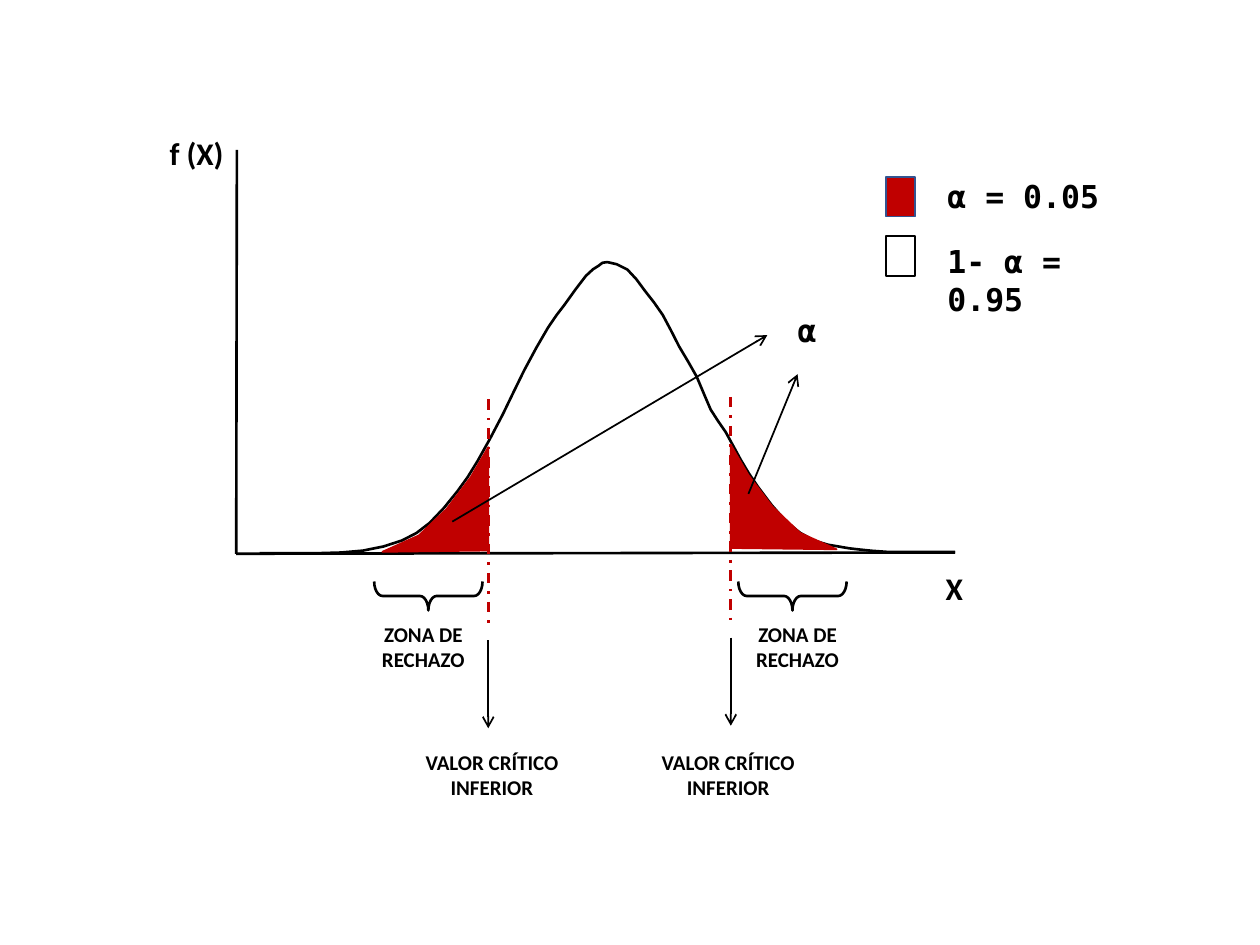
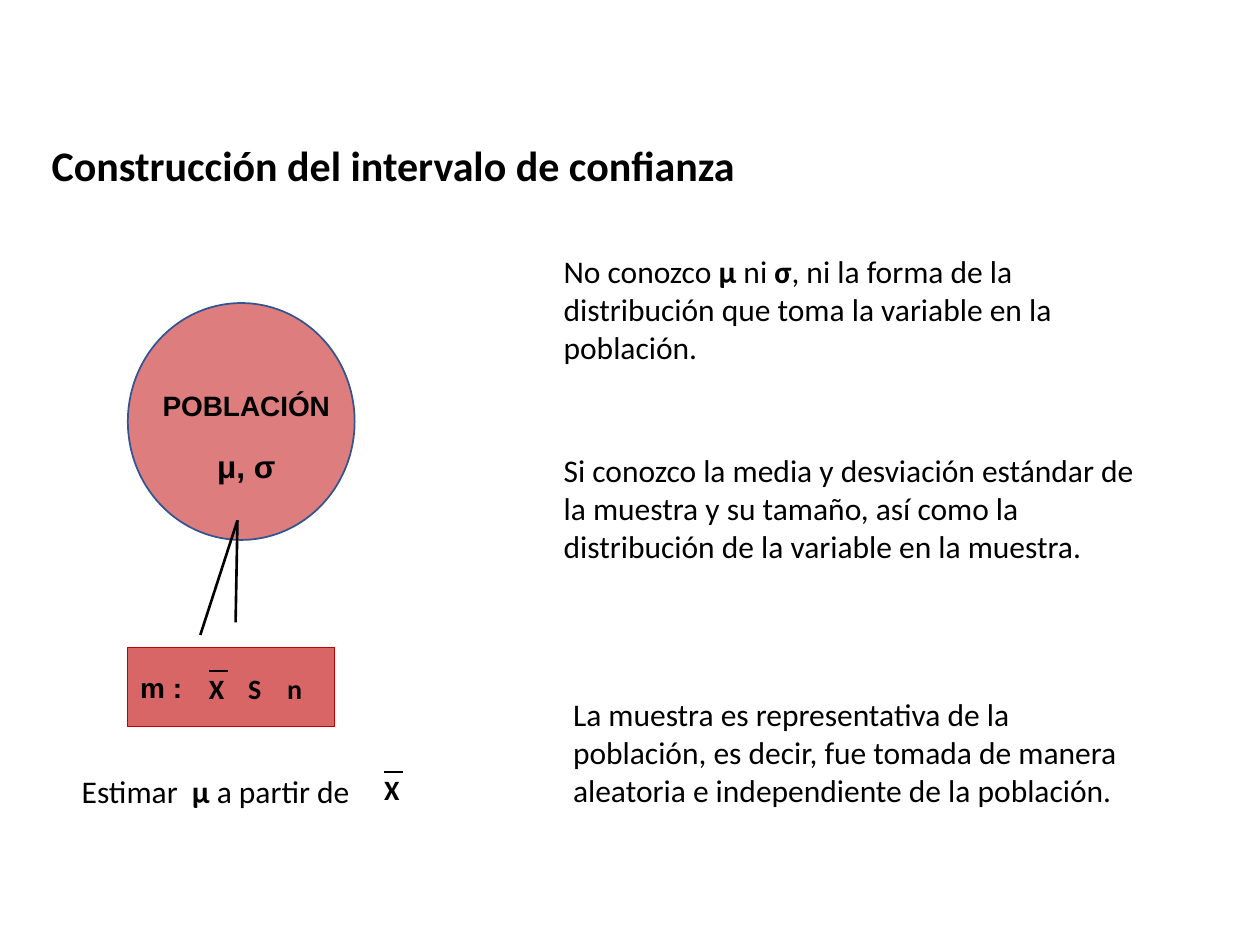
from lxml import etree
from pptx import Presentation
from pptx.dml.color import RGBColor
from pptx.enum.dml import MSO_LINE
from pptx.enum.shapes import MSO_CONNECTOR, MSO_SHAPE
from pptx.enum.text import MSO_ANCHOR, MSO_AUTO_SIZE, PP_ALIGN
from pptx.oxml.ns import qn
from pptx.util import Inches, Pt

BLACK = RGBColor(0x00, 0x00, 0x00)
RED = RGBColor(0xC0, 0x00, 0x00)
BLUE = RGBColor(0x32, 0x54, 0x91)

STRAIGHT = MSO_CONNECTOR.STRAIGHT
DASH_DOT = MSO_LINE.DASH_DOT
RECT, OVAL, BRACE = MSO_SHAPE.RECTANGLE, MSO_SHAPE.OVAL, MSO_SHAPE.LEFT_BRACE
TOP, MIDDLE = MSO_ANCHOR.TOP, MSO_ANCHOR.MIDDLE
LEFT, CENTER = PP_ALIGN.LEFT, PP_ALIGN.CENTER
GROW = MSO_AUTO_SIZE.SHAPE_TO_FIT_TEXT

# The slide is a grid of 100 columns by 75 rows.
WIDTH, HEIGHT = Inches(10), Inches(7.5)
COL, ROW = WIDTH / 100, HEIGHT / 75
TITLE_ONLY, BLANK = 5, 6

BODY = {"name": "Calibri", "size": Pt(18), "bold": False}
AXIS = {**BODY, "bold": True}
HEAD = {**AXIS, "size": Pt(24)}
NOTE = {**AXIS, "size": Pt(12)}
STAT = {**AXIS, "size": Pt(16)}
MONO = {**AXIS, "name": "DejaVu Sans Mono"}
MEAN = {**AXIS, "name": "Arial"}
NAME = {**MEAN, "size": Pt(16)}

LOW, HIGH = 38.75, 58
BELL = [
    (20.6, 43.9), (22.8, 43.9), (25.4, 43.9), (28.8, 43.7), (31.9, 42.9),
    (34.1, 41.5), (36.3, 39), (37.9, 36.6), (39.9, 32.9), (41.6, 29.4),
    (43.5, 26), (44.8, 24.2), (46.5, 21.9), (47.5, 21.1), (48.2, 20.8),
    (49.8, 21.4), (51.2, 23.1), (52.6, 25), (53.9, 27.5), (55.3, 29.9),
    (56.4, 32.5), (57.6, 34.3), (58.8, 36.5), (60.2, 38.7), (62.4, 41.4),
    (64.6, 42.9), (66.7, 43.4), (68.1, 43.6), (70.4, 43.8), (72.8, 43.8),
    (75.8, 43.8)]
TAIL = [(58, 35.3), (58, 43.5), (66.4, 43.6),
        (63.5, 42.3), (61.3, 40.2), (59.4, 37.7)]


def spot(x, y):
    return round(x * COL), round(y * ROW)


def area(x, y, wide, high):
    return *spot(x, y), *spot(wide, high)


def stroke(line, color, width):
    line.color.rgb = color
    line.width = Pt(width)


def write(frame, text, style, align=LEFT, wrap=True, tab=None):
    """Fill a frame; words between asterisks turn bold."""
    frame.word_wrap = wrap
    para = frame.paragraphs[0]
    para.alignment = align
    if tab:
        stops = etree.SubElement(para._p.get_or_add_pPr(), qn("a:tabLst"))
        etree.SubElement(stops, qn("a:tab"), pos=str(round(tab * COL)),
                         algn="l")
    for i, part in enumerate(text.split("*")):
        run = para.add_run()
        run.text = part
        for key, value in style.items():
            setattr(run.font, key, value)
        run.font.bold = style["bold"] or i % 2 == 1
        run.font.color.rgb = BLACK


def label(shapes, box, text, style, align=LEFT, wrap=True, tab=None):
    frame = shapes.add_textbox(*area(*box)).text_frame
    frame.auto_size = GROW
    write(frame, text, style, align, wrap, tab)


def link(shapes, start, end, color=BLACK, width=1.5, dash=None, arrow=False):
    line = shapes.add_connector(STRAIGHT, *spot(*start), *spot(*end))
    stroke(line.line, color, width)
    if dash:
        line.line.dash_style = dash
    props = line.element.spPr
    if arrow:
        etree.SubElement(props.find(qn("a:ln")), qn("a:tailEnd"), type="arrow")
    etree.SubElement(props, qn("a:effectLst"))


def paint(shape, fill, color, width, alpha=None):
    """Set fill and outline; alpha is the opacity in percent."""
    shape.shadow.inherit = False
    stroke(shape.line, color, width)
    if fill is None:
        shape.fill.background()
        return
    shape.fill.solid()
    shape.fill.fore_color.rgb = fill
    if alpha:
        tint = shape.element.spPr.find(qn("a:solidFill"))[0]
        etree.SubElement(tint, qn("a:alpha"), val=str(alpha * 1000))


def form(shapes, kind, box, fill, color, width, alpha=None):
    shape = shapes.add_shape(kind, *area(*box))
    paint(shape, fill, color, width, alpha)
    return shape


def trace(shapes, points, fill, color, width):
    """Draw an outline, closed when it has a fill."""
    pen = shapes.build_freeform(*spot(*points[0]))
    pen.add_line_segments([spot(*p) for p in points[1:]], close=bool(fill))
    paint(pen.convert_to_shape(), fill, color, width)


def smooth(knots):
    """Add a point of a Catmull-Rom curve halfway between the knots."""
    ends = [knots[0], *knots, knots[-1]]
    points = [knots[0]]
    for a, b, c, d in zip(ends, ends[1:], ends[2:], ends[3:]):
        half = tuple((9 * (q + r) - p - s) / 16
                     for p, q, r, s in zip(a, b, c, d))
        points += [half, c]
    return points


def brace(shapes, x):
    shape = form(shapes, BRACE, (x, 43, 2.3, 8.6), None, BLACK, 1.5)
    shape.rotation = 270
    shape.adjustments[0] = 0.29


def mean(shapes, x, y):
    """Write an X with a bar over it."""
    label(shapes, (x, y, 3.5, 3.7), "X", STAT, wrap=False)
    link(shapes, (x + 1, y + 0.45), (x + 2.5, y + 0.45), width=1)


def draw_curve(deck):
    shapes = deck.slides.add_slide(deck.slide_layouts[BLANK]).shapes
    trace(shapes, smooth(BELL), None, BLACK, 1.5)
    link(shapes, (18.8, 11.9), (18.75, 43.95))
    link(shapes, (18.75, 43.95), (75.8, 43.85))
    label(shapes, (10.9, 10.15, 9.4, 4), "f (X)", AXIS, CENTER)
    label(shapes, (71.05, 44.7, 9.4, 4), "X", AXIS, CENTER)

    mirror = [(LOW + HIGH - x, y + 0.2) for x, y in TAIL]
    sides = ((LOW, mirror, 31.7, 32.85, 26.55, 31.25),
             (HIGH, TAIL, 31.5, 61.75, 56.25, 50))
    for x, tail, top, curl, zone, value in sides:
        link(shapes, (x, top), (x, top + 17.9), RED, dash=DASH_DOT)
        trace(shapes, tail, RED, RED, 1)
        brace(shapes, curl)
        label(shapes, (zone, 48.85, 14.1, 5), "ZONA DE RECHAZO", NOTE, CENTER)
        label(shapes, (value, 59, 15.6, 5), "VALOR CRÍTICO INFERIOR",
              NOTE, CENTER)
        link(shapes, (x, top + 19.1), (x, top + 26.1), width=1, arrow=True)

    label(shapes, (59.35, 24.2, 9.4, 4), "α", MONO, CENTER)
    for start, end in (((35.9, 41.4), (60.9, 26.6)),
                       ((59.4, 39.2), (63.3, 29.7))):
        link(shapes, start, end, width=1, arrow=True)

    keys = ((14.05, RED, BLUE, 13.6, "α = 0.05"),
            (18.75, None, BLACK, 18.75, "1- α = 0.95"))
    for y, fill, color, top, text in keys:
        form(shapes, RECT, (70.3, y, 2.35, 3.15), fill, color, 1)
        label(shapes, (74.2, top, 17.2, 4), text, MONO)


def draw_interval(deck):
    shapes = deck.slides.add_slide(deck.slide_layouts[TITLE_ONLY]).shapes
    title = shapes.title
    title.left, title.top, title.width, title.height = area(3.1, 10.6, 71.1, 5)
    title.text_frame.vertical_anchor = TOP
    title.text_frame.auto_size = GROW
    write(title.text_frame, "Construcción del intervalo de confianza", HEAD)

    form(shapes, OVAL, (10.15, 24.05, 18, 18.8), RED, BLUE, 1, 51)
    label(shapes, (10.9, 30.35, 17.3, 3.7), "POBLACIÓN", NAME, CENTER)
    label(shapes, (12.5, 35, 14.1, 4), "μ, σ", MEAN, CENTER)
    rays = shapes.add_group_shape().shapes
    for end in ((15.9, 50.4), (18.7, 49.4)):
        link(rays, (18.85, 41.3), end)

    sample = shapes.add_group_shape().shapes
    box = form(sample, RECT, (10.15, 51.4, 16.4, 6.25), RED, RED, 0.75, 60)
    box.text_frame.vertical_anchor = MIDDLE
    write(box.text_frame, "m :", NAME)
    mean(sample, 15.6, 52.8)
    for x, text in ((18.7, "S"), (21.8, "n")):
        label(sample, (x, 52.8, 3.5, 3.7), text, STAT, wrap=False)

    label(shapes, (5.5, 60.8, 29.7, 4), "Estimar\t*μ* a partir de", BODY,
          tab=8.75)
    mean(shapes.add_group_shape().shapes, 29.5, 60.8)

    facts = (
        ((43.75, 19.5, 47.7, 10.1),
         "No conozco *μ* ni *σ*, ni la forma de la distribución que toma "
         "la variable en la población."),
        ((43.75, 35.3, 49.2, 13.1),
         "Si conozco la media y desviación estándar de la muestra y su "
         "tamaño, así como la distribución de la variable en la muestra."),
        ((44.5, 54.7, 45.3, 13.1),
         "La muestra es representativa de la población, es decir, fue "
         "tomada de manera aleatoria e independiente de la población."))
    for place, text in facts:
        label(shapes, place, text, BODY)


def main():
    deck = Presentation()
    deck.slide_width, deck.slide_height = WIDTH, HEIGHT
    draw_curve(deck)
    draw_interval(deck)
    deck.save("out.pptx")


if __name__ == "__main__":
    main()
